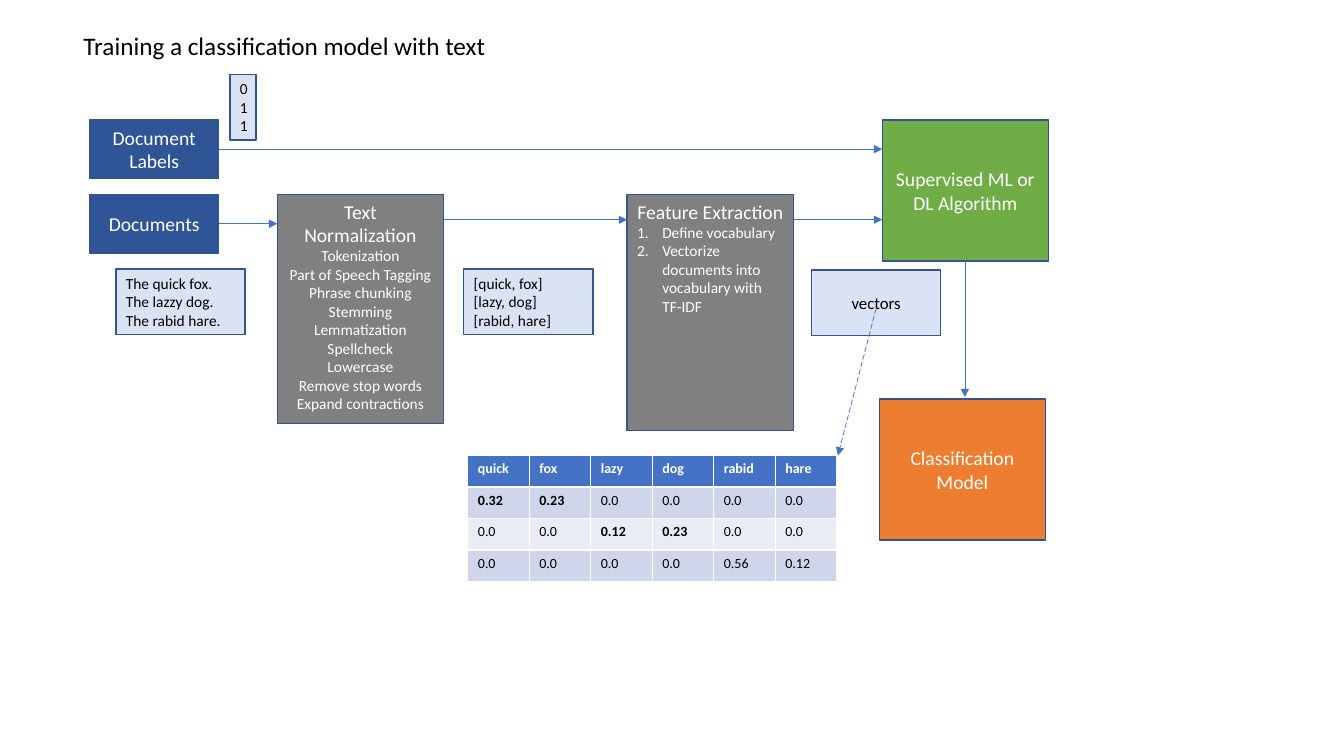
from lxml.etree import SubElement
from pptx import Presentation
from pptx.dml.color import RGBColor
from pptx.enum.dml import MSO_LINE
from pptx.enum.shapes import MSO_CONNECTOR, MSO_SHAPE
from pptx.enum.text import MSO_ANCHOR, MSO_AUTO_SIZE, PP_ALIGN
from pptx.oxml.ns import qn
from pptx.util import Inches, Pt

BLUE, DARK_BLUE, PALE_BLUE, OUTLINE = "4472C4", "2F5597", "DAE3F3", "325491"
GRAY, GREEN, ORANGE = "808080", "70AD47", "ED7D31"
WHITE, BLACK = "FFFFFF", "000000"
BANDS = ("CFD5EA", "E9EBF5")


def color(value):
    return RGBColor.from_string(value)


def set_attributes(target, values):
    for name, value in values.items():
        setattr(target, name, value)


class Diagram:
    def __init__(self, slide, font="Calibri"):
        self.slide = slide
        self.font = font

    def add_text(self, paragraph, text, size, text_color, bold=False):
        run = paragraph.add_run()
        run.text = text
        set_attributes(run.font, {"name": self.font, "size": Pt(size), "bold": bold})
        run.font.color.rgb = color(text_color)

    def lines(self, frame, texts, size, text_color, align=PP_ALIGN.LEFT, start=0):
        """Add one paragraph per text, the first at index start, and return them."""
        paragraphs = []
        for index, text in enumerate(texts, start):
            paragraph = frame.add_paragraph() if index else frame.paragraphs[0]
            paragraph.alignment = align
            self.add_text(paragraph, text, size, text_color)
            paragraphs.append(paragraph)
        return paragraphs

    def box(self, area, fill, title=None, size=14, text_color=WHITE, anchor=MSO_ANCHOR.MIDDLE):
        shape = self.slide.shapes.add_shape(MSO_SHAPE.RECTANGLE, *map(Inches, area))
        shape.shadow.inherit = False
        shape.fill.solid()
        shape.fill.fore_color.rgb = color(fill)
        shape.line.color.rgb = color(OUTLINE)
        shape.line.width = Pt(1)
        frame = shape.text_frame
        set_attributes(frame, {"word_wrap": True, "vertical_anchor": anchor})
        if title:
            self.lines(frame, [title], size, text_color, PP_ALIGN.CENTER)
        return frame

    def text(self, area, texts, size, wrap=True):
        frame = self.slide.shapes.add_textbox(*map(Inches, area)).text_frame
        set_attributes(frame, {"word_wrap": wrap, "auto_size": MSO_AUTO_SIZE.SHAPE_TO_FIT_TEXT})
        self.lines(frame, texts, size, BLACK)

    def sample(self, left, top, width, text_width, texts):
        """Draw a pale box with example data in it."""
        self.box((left, top, width, 0.65), PALE_BLUE)
        self.text((left, top, text_width, 0.66), texts, 11)

    def number(self, paragraph):
        """Turn a paragraph into a numbered list item."""
        properties = paragraph._p.get_or_add_pPr()
        properties.set("marL", str(Inches(0.25)))
        properties.set("indent", str(Inches(-0.25)))
        SubElement(properties, qn("a:buFont"), typeface="+mj-lt")
        SubElement(properties, qn("a:buAutoNum"), type="arabicPeriod")

    def arrow(self, start, end, dash=None):
        connector = self.slide.shapes.add_connector(
            MSO_CONNECTOR.STRAIGHT, *map(Inches, start + end))
        line = connector.line
        line.color.rgb = color(BLUE)
        set_attributes(line, {"width": Pt(0.5), "dash_style": dash})
        SubElement(line._get_or_add_ln(), qn("a:tailEnd"), type="triangle")
        SubElement(connector._element.spPr, qn("a:effectLst"))

    def table(self, area, rows, bold_cells):
        table = self.slide.shapes.add_table(
            len(rows), len(rows[0]), *map(Inches, area)).table
        for row_index, row in enumerate(rows):
            header = row_index == 0
            for column_index, text in enumerate(row):
                cell = table.cell(row_index, column_index)
                cell.fill.solid()
                cell.fill.fore_color.rgb = color(BLUE if header else BANDS[(row_index - 1) % 2])
                bold = header or (row_index, column_index) in bold_cells
                self.add_text(cell.text_frame.paragraphs[0], text, 10,
                              WHITE if header else BLACK, bold)


def main():
    presentation = Presentation()
    set_attributes(presentation, {"slide_width": Inches(13.33), "slide_height": Inches(7.5)})
    diagram = Diagram(presentation.slides.add_slide(presentation.slide_layouts[6]))

    diagram.text((0.73, 0.25, 4.24, 0.4), ["Training a classification model with text"], 18, wrap=False)

    diagram.box((0.89, 1.19, 1.28, 0.58), DARK_BLUE, "Document Labels")
    diagram.box((0.89, 1.93, 1.28, 0.58), DARK_BLUE, "Documents")
    normalization = diagram.box((2.75, 1.93, 1.65, 2.27), GRAY, "Text Normalization",
                                anchor=MSO_ANCHOR.TOP)
    diagram.lines(normalization, [
        "Tokenization", "Part of Speech Tagging", "Phrase chunking", "Stemming",
        "Lemmatization", "Spellcheck", "Lowercase", "Remove stop words",
        "Expand contractions"], 11, WHITE, PP_ALIGN.CENTER, start=1)
    extraction = diagram.box((6.22, 1.93, 1.65, 2.34), GRAY, "Feature Extraction",
                             anchor=MSO_ANCHOR.TOP)
    for step in diagram.lines(extraction, [
            "Define vocabulary", "Vectorize documents into vocabulary with TF-IDF"],
            11, WHITE, start=1):
        diagram.number(step)
    diagram.box((8.75, 1.19, 1.65, 1.4), GREEN, "Supervised ML or DL Algorithm")
    diagram.box((8.72, 3.96, 1.65, 1.4), ORANGE, "Classification Model")

    diagram.sample(2.28, 0.74, 0.26, 0.26, ["0", "1", "1"])
    diagram.sample(1.15, 2.67, 1.28, 1.4, ["The quick fox.", "The lazzy dog.", "The rabid hare."])
    diagram.sample(4.6, 2.67, 1.28, 1.4, ["[quick, fox]", "[lazy, dog]", "[rabid, hare]"])
    diagram.box((8.05, 2.68, 1.28, 0.65), PALE_BLUE, "vectors", 12, BLACK)

    diagram.table((4.64, 4.52, 3.66, 1.25), [
        ("quick", "fox", "lazy", "dog", "rabid", "hare"),
        ("0.32", "0.23", "0.0", "0.0", "0.0", "0.0"),
        ("0.0", "0.0", "0.12", "0.23", "0.0", "0.0"),
        ("0.0", "0.0", "0.0", "0.0", "0.56", "0.12"),
    ], bold_cells={(1, 0), (1, 1), (2, 2), (2, 3)})

    for start, end in [
        ((2.17, 1.48), (8.75, 1.48)),
        ((2.17, 2.22), (2.75, 2.22)),
        ((4.4, 2.18), (6.22, 2.18)),
        ((7.86, 2.18), (8.75, 2.18)),
        ((9.57, 2.58), (9.57, 3.94)),
    ]:
        diagram.arrow(start, end)
    diagram.arrow((8.69, 3.06), (8.31, 4.52), MSO_LINE.LONG_DASH)

    presentation.save("out.pptx")


if __name__ == "__main__":
    main()
